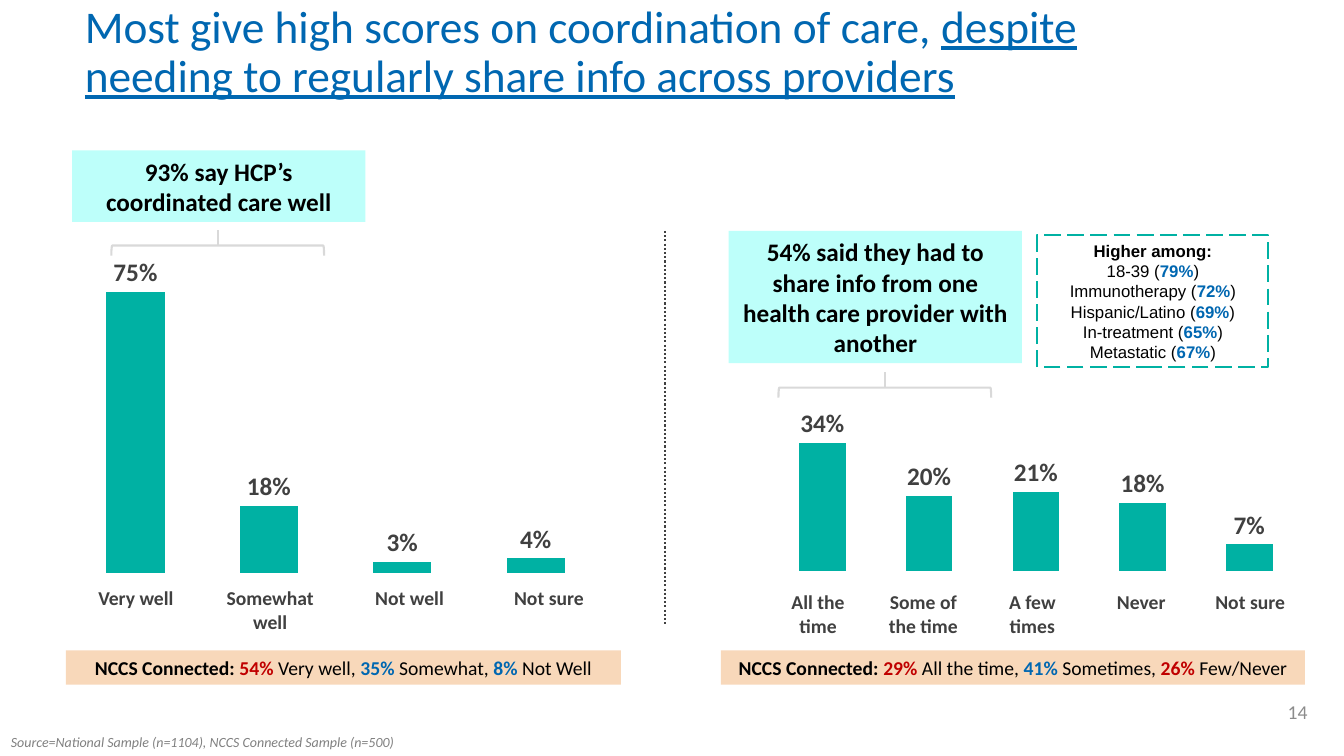
"""Build the care coordination survey slide with its two chart panels."""
from dataclasses import dataclass
from typing import NamedTuple

from lxml import etree
from pptx import Presentation
from pptx import util as u
from pptx.chart import data
from pptx.dml import color
from pptx.enum import chart as ch, dml, shapes, text
from pptx.oxml import ns

COLORS = {
    "blue": "0067B1", "red": "C00000", "teal": "00B1A3", "aqua": "BDFFFA",
    "peach": "F8D8BA", "black": "000000", "dark": "404040",
    "mid": "808080", "number": "8C8C8C", "light": "D9D9D9",
}


class Box(NamedTuple):
    x: float
    y: float
    w: float
    h: float

    def pts(self) -> list:
        return [u.Pt(v) for v in self]


class Run(NamedTuple):
    text: str
    color: str = "black"
    bold: bool = False
    underline: bool = False


class Style(NamedTuple):
    size: float
    font: str = "Calibri"
    align: text.PP_ALIGN = text.PP_ALIGN.CENTER
    italic: bool = False
    spacing: float = 1.0


@dataclass
class Panel:
    chart: Box
    plot: tuple
    answers: dict
    table: Box
    first_col: float
    callout: Box
    headline: str
    bracket: tuple
    note: Box
    note_runs: list


PANELS = [
    Panel(
        Box(40.3, 155.5, 402.5, 262.8), (0.022, 0.048),
        {"Very well": 0.75, "Somewhat well": 0.18, "Not well": 0.03, "Not sure": 0.04},
        Box(51, 415.5, 391, 29.5), 92.2,
        Box(51.5, 107.5, 209.5, 51), "93% say HCP’s coordinated care well",
        (155.5, 179), Box(47, 464.5, 396.5, 24.5),
        [Run("54%", "red", True), Run(" Very well, "), Run("35%", "blue", True),
         Run(" Somewhat, "), Run("8%", "blue", True), Run(" Not Well")],
    ),
    Panel(
        Box(538.5, 155.5, 402.5, 262.8), (0.027, 0.041),
        {"All the time": 0.34, "Some of the time": 0.2, "A few times": 0.21,
         "Never": 0.18, "Not sure": 0.07},
        Box(548, 418.5, 384, 29.5), 72.7,
        Box(520.5, 165, 209.5, 94.5),
        "54% said they had to share info from one health care provider with another",
        (632, 280.5), Box(515, 464.5, 417, 24.5),
        [Run("29%", "red", True), Run(" All the time, "), Run("41%", "blue", True),
         Run(" Sometimes, "), Run("26%", "red", True), Run(" Few/Never")],
    ),
]

HIGHER = {"18-39": "79%", "Immunotherapy": "72%", "Hispanic/Latino": "69%",
          "In-treatment": "65%", "Metastatic": "67%"}


def rgb(name: str) -> color.RGBColor:
    return color.RGBColor.from_string(COLORS[name])


def write(tf, paragraphs: list, style: Style) -> None:
    tf.word_wrap = True
    for i, runs in enumerate(paragraphs):
        p = tf.add_paragraph() if i else tf.paragraphs[0]
        p.alignment, p.line_spacing = style.align, style.spacing
        p.font.size, p.font.name, p.font.italic = u.Pt(style.size), style.font, style.italic
        same_color = len({run.color for run in runs}) == 1
        same_bold = len({run.bold for run in runs}) == 1
        if same_color:
            p.font.color.rgb = rgb(runs[0].color)
        if same_bold:
            p.font.bold = runs[0].bold
        for run in runs:
            r = p.add_run()
            r.text = run.text
            if not same_color:
                r.font.color.rgb = rgb(run.color)
            if not same_bold:
                r.font.bold = run.bold
            if run.underline:
                r.font.underline = True


def add_text(s, box: Box, runs: list, style: Style, anchor=text.MSO_ANCHOR.MIDDLE) -> None:
    tf = s.shapes.add_textbox(*box.pts()).text_frame
    tf.vertical_anchor = anchor
    write(tf, [runs], style)


def add_rect(s, box: Box, paragraphs: list, style: Style, fill: str = "", border: str = "") -> None:
    sp = s.shapes.add_shape(shapes.MSO_SHAPE.RECTANGLE, *box.pts())
    sp.shadow.inherit = False
    if fill:
        sp.fill.solid()
        sp.fill.fore_color.rgb = rgb(fill)
    else:
        sp.fill.background()
    if border:
        sp.line.color.rgb, sp.line.width = rgb(border), u.Pt(1.5)
        sp.line.dash_style = dml.MSO_LINE.LONG_DASH
    else:
        sp.line.fill.background()
    write(sp.text_frame, paragraphs, style)


def add_line(s, x: float, top: float, bottom: float, hue: str, dash=None) -> None:
    cx = s.shapes.add_connector(shapes.MSO_CONNECTOR.STRAIGHT, u.Pt(x), u.Pt(top), u.Pt(x), u.Pt(bottom))
    cx.line.color.rgb, cx.line.width = rgb(hue), u.Pt(1.5)
    if dash:
        cx.line.dash_style = dash
    etree.SubElement(cx._element.spPr, ns.qn("a:effectLst"))


def add_bracket(s, x: float, y: float) -> None:
    sp = s.shapes.add_shape(shapes.MSO_SHAPE.LEFT_BRACKET, *Box(x - 3.6, y - 76, 7.2, 152).pts())
    sp.rotation = 90
    sp.shadow.inherit = False
    sp.fill.background()
    sp.line.color.rgb, sp.line.width = rgb("light"), u.Pt(1.5)
    add_line(s, x, y - 14.5, y - 4, "light")


def add_bars(s, panel: Panel) -> None:
    cd = data.CategoryChartData(number_format="0%")
    cd.categories = [str(i + 1) for i in range(len(panel.answers))]
    cd.add_series("Series 1", panel.answers.values())
    chart = s.shapes.add_chart(ch.XL_CHART_TYPE.COLUMN_CLUSTERED, *panel.chart.pts(), cd).chart
    chart.has_legend = chart.has_title = False
    chart.font.size, chart.font.name = u.Pt(10), "Calibri"
    chart.font.color.rgb = rgb("black")
    chart.category_axis.visible = chart.value_axis.visible = False
    chart.value_axis.has_major_gridlines = False
    chart.value_axis.minimum_scale, chart.value_axis.maximum_scale = 0, 0.9
    plot = chart.plots[0]
    plot.gap_width, plot.vary_by_categories = 129, False
    fill = plot.series[0].format.fill
    fill.solid()
    fill.fore_color.rgb = rgb("teal")
    plot.has_data_labels = True
    labels = plot.data_labels
    labels.show_value, labels.position = True, ch.XL_LABEL_POSITION.OUTSIDE_END
    labels.number_format, labels.number_format_is_linked = "0%", False
    labels.font.size, labels.font.bold, labels.font.name = u.Pt(18), True, "Calibri"
    labels.font.color.rgb = rgb("dark")
    area = chart._chartSpace.chart.plotArea
    for old in area.findall(ns.qn("c:layout")):
        area.remove(old)
    layout = etree.Element(ns.qn("c:layout"))
    manual = etree.SubElement(layout, ns.qn("c:manualLayout"))
    values = {"layoutTarget": "inner", "xMode": "edge", "yMode": "edge",
              "x": panel.plot[0], "y": panel.plot[1], "w": 0.947, "h": 0.919}
    for tag, value in values.items():
        etree.SubElement(manual, ns.qn(f"c:{tag}")).set("val", str(value))
    area.insert(0, layout)


def add_answers(s, panel: Panel) -> None:
    count = len(panel.answers)
    tbl = s.shapes.add_table(1, count, *panel.table.pts()).table
    tbl.first_row = tbl.horz_banding = False
    for i, answer in enumerate(panel.answers):
        width = (panel.table.w - panel.first_col) / (count - 1) if i else panel.first_col
        tbl.columns[i].width = u.Pt(width)
        cell = tbl.cell(0, i)
        cell.fill.background()
        cell.margin_left = cell.margin_right = u.Pt(8.64)
        write(cell.text_frame, [[Run(answer, "dark", True)]], Style(14))


def main() -> None:
    prs = Presentation()
    prs.slide_width, prs.slide_height = u.Pt(960), u.Pt(540)
    s = prs.slides.add_slide(prs.slide_layouts[6])
    left = text.PP_ALIGN.LEFT
    add_text(s, Box(53.5, 0, 752.5, 76.3),
             [Run("Most give high scores on coordination of care, ", "blue"),
              Run("despite needing to regularly share info across providers", "blue", underline=True)],
             Style(32.4, align=left, spacing=0.9))
    add_text(s, Box(870.5, 494, 70.5, 28.8), [Run("14", "number")], Style(14, align=text.PP_ALIGN.RIGHT))
    add_line(s, 475, 165, 445.5, "dark", dml.MSO_LINE.ROUND_DOT)
    for panel in PANELS:
        add_bars(s, panel)
        add_answers(s, panel)
        add_rect(s, panel.callout, [[Run(panel.headline, bold=True)]], Style(18), "aqua")
        add_bracket(s, *panel.bracket)
        add_rect(s, panel.note, [[Run("NCCS Connected: ", bold=True), *panel.note_runs]], Style(14), "peach")
    add_text(s, Box(0.7, 520.5, 366.5, 19.5),
             [Run("Source=National Sample (n=1104), NCCS Connected Sample (n=500)", "mid")],
             Style(10, align=left, italic=True), text.MSO_ANCHOR.TOP)
    groups = [[Run(f"{name} ("), Run(share, "blue", True), Run(")")] for name, share in HIGHER.items()]
    add_rect(s, Box(741, 168, 165, 94.5), [[Run("Higher among:", bold=True)], *groups],
             Style(12, "Arial"), border="teal")
    prs.save("out.pptx")


if __name__ == "__main__":
    main()
